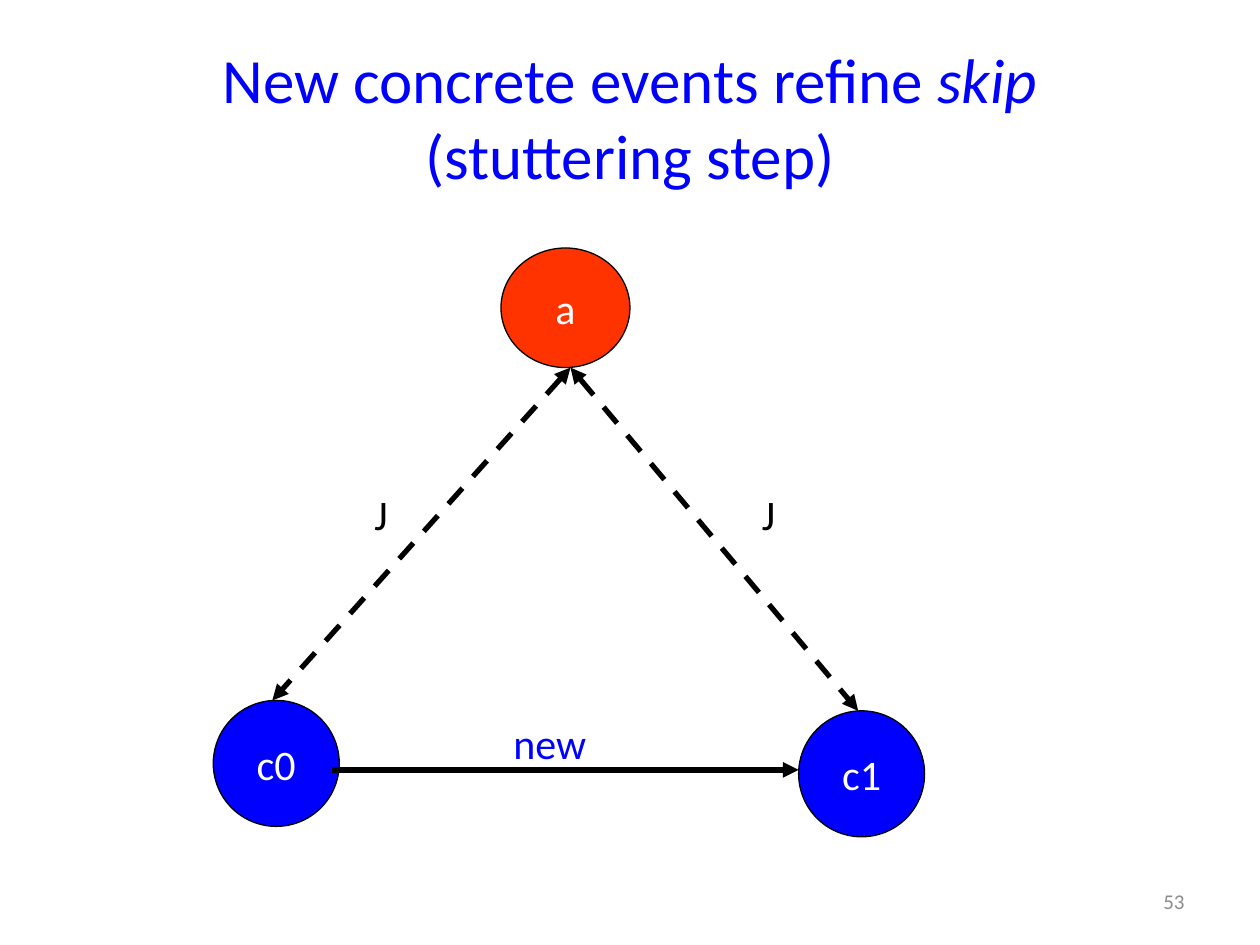
from typing import NamedTuple

from lxml import etree
from pptx import Presentation
from pptx import util as u
from pptx.dml.color import RGBColor
from pptx.enum import dml, shapes, text
from pptx.oxml import ns

BLACK = RGBColor(0x00, 0x00, 0x00)
WHITE = RGBColor(0xFF, 0xFF, 0xFF)
BLUE = RGBColor(0x00, 0x00, 0xFF)
RED = RGBColor(0xFF, 0x33, 0x00)
GREY = RGBColor(0x8C, 0x8C, 0x8C)
FONT = "Calibri"


# Lengths are in centimetres
class State(NamedTuple):
    name: str
    left: float
    top: float
    width: float
    height: float
    fill: RGBColor


class Arrow(NamedTuple):
    start: tuple[float, float]
    end: tuple[float, float]
    two_way: bool


class Label(NamedTuple):
    words: str
    left: float
    top: float
    width: float
    height: float
    color: RGBColor
    size: int = 24
    wrap: bool = False
    align: text.PP_ALIGN = text.PP_ALIGN.LEFT
    anchor: text.MSO_ANCHOR = text.MSO_ANCHOR.TOP


STATES = [
    State("a", 10.1, 5.0, 2.6, 2.41, RED),
    State("c0", 4.3, 14.12, 2.54, 2.54, BLUE),
    State("c1", 16.1, 14.33, 2.54, 2.54, BLUE),
]

ABSTRACT = (11.5, 7.41)
ARROWS = [
    Arrow((6.7, 15.52), (16.1, 15.52), False),
    Arrow(ABSTRACT, (5.49, 14.12), True),
    Arrow(ABSTRACT, (17.3, 14.33), True),
]

TITLE = Label("New concrete events refine ", 1.27, 0.76, 22.86, 3.18, BLUE, 36,
              True, text.PP_ALIGN.CENTER, text.MSO_ANCHOR.MIDDLE)
LABELS = [
    Label("new", 10.1, 14.33, 2.01, 1.27, BLUE),
    Label("J", 7.3, 9.73, 0.94, 1.27, BLACK),
    Label("J", 15.11, 9.73, 0.94, 1.27, BLACK),
    Label("53", 18.21, 17.65, 5.92, 1.02, GREY, 12,
          True, text.PP_ALIGN.RIGHT, text.MSO_ANCHOR.MIDDLE),
]


def style_font(p, size: int, color: RGBColor) -> None:
    for r in p.runs:
        r.font.name = FONT
        r.font.size = u.Pt(size)
        r.font.color.rgb = color


def add_state(s, state: State) -> None:
    sp = s.shapes.add_shape(
        shapes.MSO_SHAPE.OVAL, u.Cm(state.left), u.Cm(state.top),
        u.Cm(state.width), u.Cm(state.height))
    sp.shadow.inherit = False
    sp.fill.solid()
    sp.fill.fore_color.rgb = state.fill
    sp.line.color.rgb = BLACK
    sp.line.width = u.Pt(0.75)
    tf = sp.text_frame
    tf.text = state.name
    tf.word_wrap = False
    tf.vertical_anchor = text.MSO_ANCHOR.MIDDLE
    p = tf.paragraphs[0]
    p.alignment = text.PP_ALIGN.CENTER
    style_font(p, 24, WHITE)


def add_arrow(s, arrow: Arrow) -> None:
    sp = s.shapes.add_connector(
        shapes.MSO_CONNECTOR.STRAIGHT,
        *(u.Cm(v) for v in arrow.start + arrow.end))
    sp.line.color.rgb = BLACK
    sp.line.width = u.Pt(3)
    if arrow.two_way:
        sp.line.dash_style = dml.MSO_LINE.DASH
    ln = sp.line._get_or_add_ln()
    for tag in ("a:headEnd", "a:tailEnd") if arrow.two_way else ("a:tailEnd",):
        etree.SubElement(ln, ns.qn(tag), type="triangle")
    etree.SubElement(sp._element.spPr, ns.qn("a:effectLst"))


def add_label(s, label: Label):
    sp = s.shapes.add_textbox(
        u.Cm(label.left), u.Cm(label.top), u.Cm(label.width), u.Cm(label.height))
    tf = sp.text_frame
    tf.text = label.words
    tf.word_wrap = label.wrap
    tf.vertical_anchor = label.anchor
    if not label.wrap:
        tf.auto_size = text.MSO_AUTO_SIZE.SHAPE_TO_FIT_TEXT
    p = tf.paragraphs[0]
    p.alignment = label.align
    style_font(p, label.size, label.color)
    return p


def add_title(s) -> None:
    p = add_label(s, TITLE)
    r = p.add_run()
    r.text = "skip"
    r.font.italic = True
    p.add_line_break()
    p.add_run().text = "(stuttering step)"
    style_font(p, TITLE.size, TITLE.color)


def main() -> None:
    prs = Presentation()
    prs.slide_width, prs.slide_height = u.Cm(25.4), u.Cm(19.05)
    s = prs.slides.add_slide(prs.slide_layouts[6])

    # Title
    add_title(s)

    # Abstract and concrete states
    for state in STATES:
        add_state(s, state)

    # Event and refinement relations
    for arrow in ARROWS:
        add_arrow(s, arrow)

    # Relation names and slide number
    for label in LABELS:
        add_label(s, label)

    prs.save("out.pptx")


if __name__ == "__main__":
    main()
